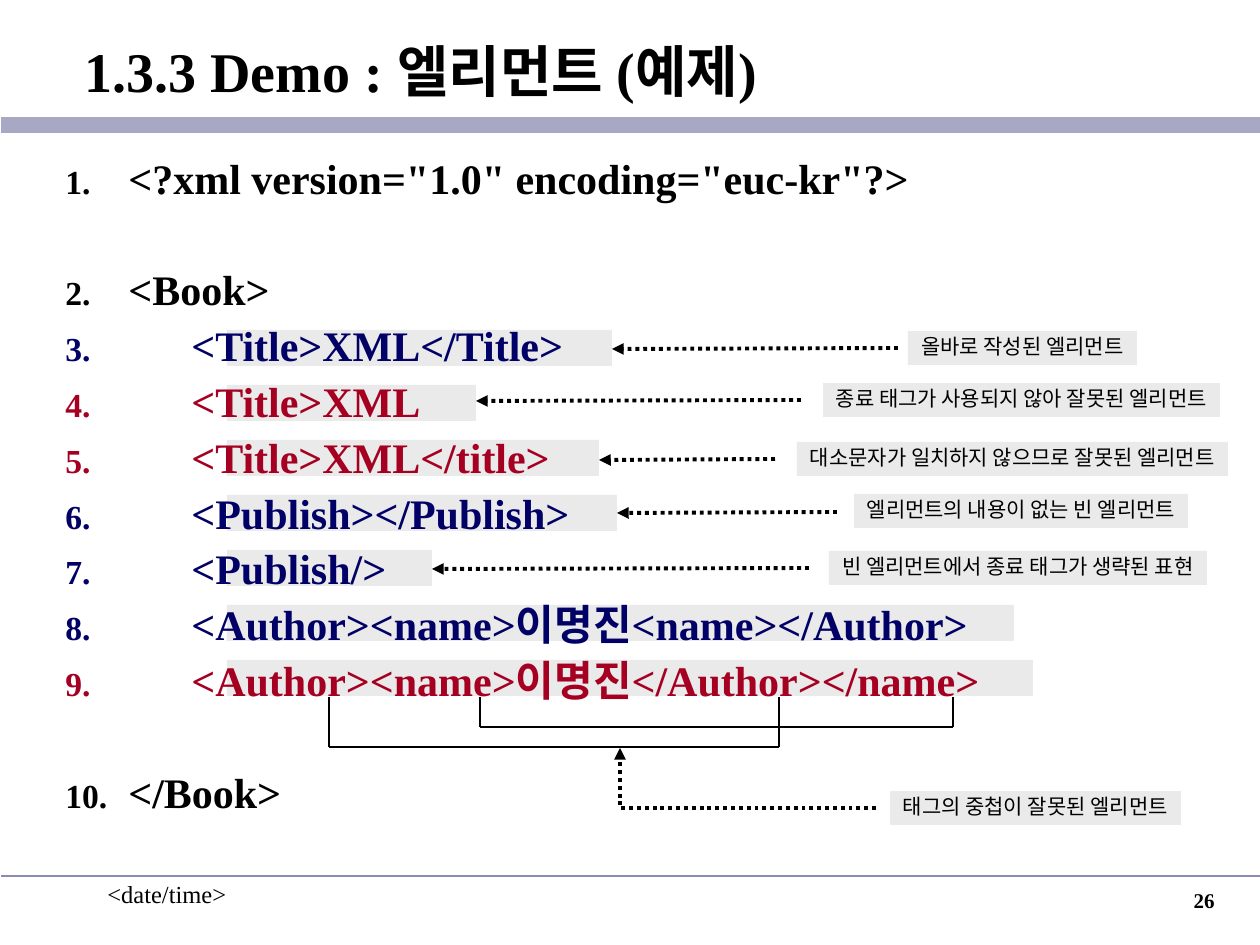
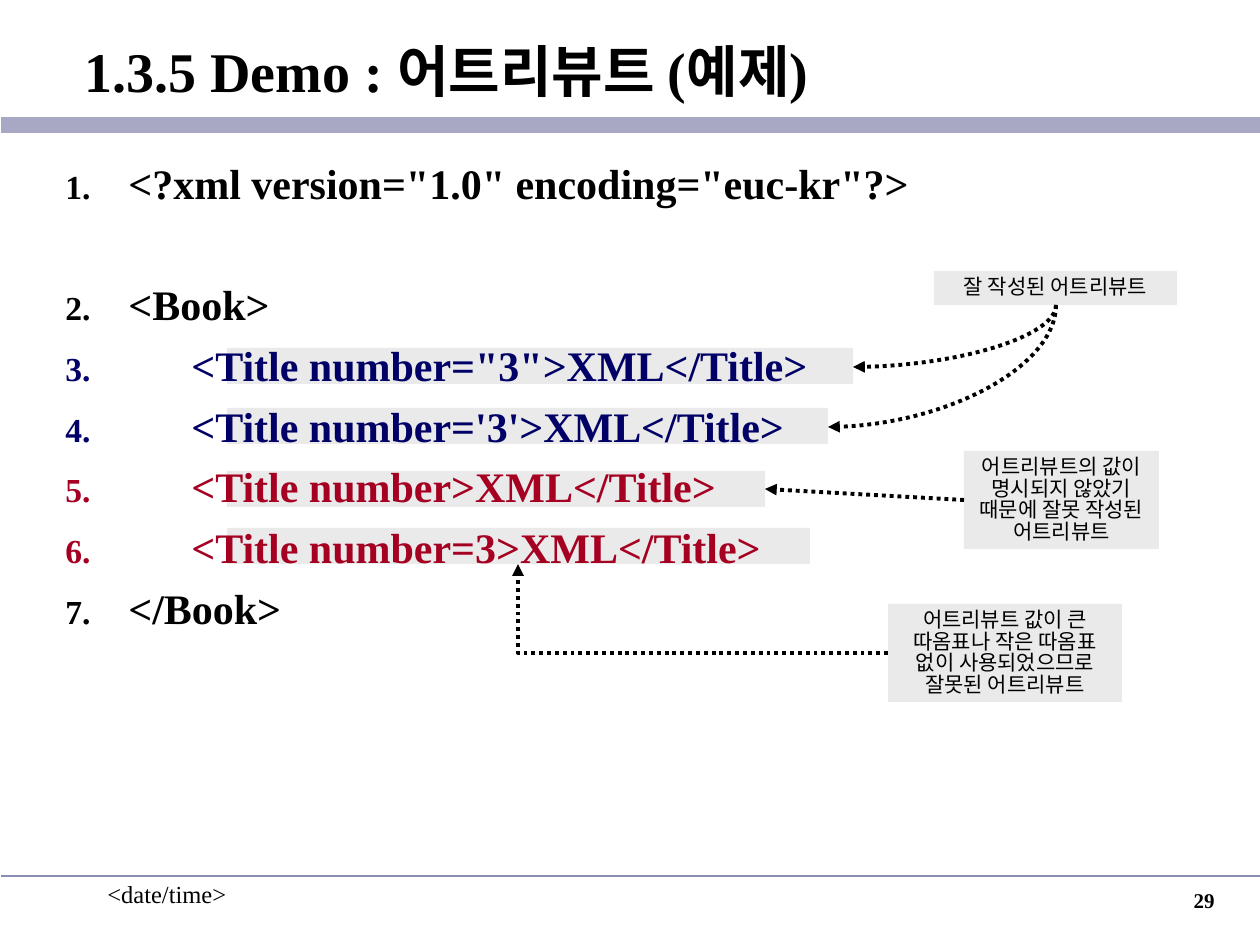
from lxml import etree
from pptx import Presentation
from pptx import util as u
from pptx.dml.color import RGBColor
from pptx.enum import dml, shapes, text
from pptx.oxml.ns import qn

PX = 914400 / 126
LATIN, KOREAN = "Times New Roman", "Noto Sans CJK KR"
BLACK, NAVY, RED = "000000", "000066", "A50021"
GREY, BAND, RULE = "EAEAEA", "A8A8C4", "8C8CB2"


def px(length):
    return u.Emu(round(length * PX))


def colour(hex_code):
    return RGBColor.from_string(hex_code)


def style(para, size, name=LATIN, ink=BLACK, bold=False):
    font = para.font
    font.size, font.name, font.bold = u.Pt(size), name, bold
    font.color.rgb = colour(ink)
    etree.SubElement(para._p.pPr.find(qn("a:defRPr")), qn("a:ea"), typeface=KOREAN)


def add_text(page, box, content, size, bold=False,
             align=text.PP_ALIGN.LEFT, anchor=text.MSO_ANCHOR.TOP):
    frame = page.shapes.add_textbox(*map(px, box)).text_frame
    frame.word_wrap, frame.vertical_anchor = True, anchor
    para = frame.paragraphs[0]
    para.text, para.alignment = content, align
    style(para, size, bold=bold)


def add_panel(page, box):
    panel = page.shapes.add_shape(shapes.MSO_SHAPE.RECTANGLE, *map(px, box))
    panel.shadow.inherit = False
    panel.fill.solid()
    panel.fill.fore_color.rgb = colour(GREY)
    panel.line.fill.background()
    return panel


def add_line(page, start, end, ink=BLACK, width=1.5, kind=shapes.MSO_CONNECTOR.STRAIGHT):
    line = page.shapes.add_connector(kind, *map(px, start + end))
    line.line.color.rgb = colour(ink)
    line.line.width = u.Pt(width)
    etree.SubElement(line._element.spPr, qn("a:effectLst"))
    return line


def add_arrow(page, start, end, kind=shapes.MSO_CONNECTOR.STRAIGHT):
    arrow = add_line(page, start, end, width=2.25, kind=kind)
    arrow.line.dash_style = dml.MSO_LINE.ROUND_DOT
    etree.SubElement(arrow.line._ln, qn("a:tailEnd"), type="triangle")
    return arrow


def turn(arrow, preset, degrees):
    arrow._element.spPr.find(qn("a:prstGeom")).set("prst", preset)
    arrow._element.spPr.find(qn("a:xfrm")).set("rot", str(degrees * 60000))


def add_corner_arrow(page, start, end):
    """Runs left from start, then up to end."""
    arrow = add_arrow(page, end, start, shapes.MSO_CONNECTOR.ELBOW)
    turn(arrow, "bentConnector2", 180)


def add_curved_arrow(page, start, end):
    """Runs down from start and bends left to end."""
    middle_x, middle_y = (start[0] + end[0]) / 2, (start[1] + end[1]) / 2
    half_w, half_h = (end[1] - start[1]) / 2, (start[0] - end[0]) / 2
    arrow = add_arrow(page, (middle_x - half_w, middle_y - half_h),
                      (middle_x + half_w, middle_y + half_h), shapes.MSO_CONNECTOR.CURVE)
    turn(arrow, "curvedConnector2", 90)


def add_callout(page, box, content, wrap=True):
    frame = add_panel(page, box).text_frame
    frame.word_wrap, frame.vertical_anchor = wrap, text.MSO_ANCHOR.TOP
    para = frame.paragraphs[0]
    para.text, para.alignment = content, text.PP_ALIGN.CENTER
    para.line_spacing = u.Pt(12.35)
    style(para, 12, KOREAN)


def number(para, ink):
    props = para._p.pPr
    props.set("marL", "457200")
    props.set("indent", "-457200")
    last = props.find(qn("a:defRPr"))
    bullet_colour = etree.Element(qn("a:buClr"))
    etree.SubElement(bullet_colour, qn("a:srgbClr"), val=ink)
    tabs = etree.Element(qn("a:tabLst"))
    etree.SubElement(tabs, qn("a:tab"), pos="914400", algn="l")
    for part in (bullet_colour,
                 etree.Element(qn("a:buSzPct"), val="80000"),
                 etree.Element(qn("a:buAutoNum"), type="arabicPeriod"),
                 tabs):
        last.addprevious(part)


def add_code(page, box, rows, line_height):
    """rows: (code, ink, gap above in lines)."""
    frame = page.shapes.add_textbox(*map(px, box)).text_frame
    frame.word_wrap = True
    for index, (code, ink, gap) in enumerate(rows):
        para = frame.paragraphs[0] if index == 0 else frame.add_paragraph()
        para.text = code if ink == BLACK else "\t" + code
        para.line_spacing = u.Pt(line_height)
        para.space_before = u.Pt(7 + gap * (line_height + 7) if index else 0)
        style(para, 24, ink=ink, bold=True)
        number(para, ink)


def add_page(deck, title, page_number, highlights, rows, line_height):
    page = deck.slides.add_slide(deck.slide_layouts[6])
    # Band and footer
    add_line(page, (1, 125), (1260, 125), BAND, 9.25)
    add_line(page, (1, 876), (1260, 876), RULE, 1)
    add_text(page, (95, 873, 262, 63), "<date/time>", 14)
    add_text(page, (965, 881, 262, 63), page_number, 12, True, text.PP_ALIGN.RIGHT)
    # Title
    add_text(page, (72, 14, 1188, 113), title, 32, True, anchor=text.MSO_ANCHOR.MIDDLE)
    # Code on its highlights
    for top, width in highlights:
        add_panel(page, (227, top, width, 36))
    add_code(page, (53, 153, 1154, 719), rows, line_height)
    return page


def add_nesting_bracket(page, left, right, bottom, top=697):
    add_line(page, (left, top), (left, bottom))
    add_line(page, (left, bottom), (right, bottom))
    add_line(page, (right, top), (right, bottom))


def element_page(deck):
    widths = (385, 249, 372, 390, 205, 787, 806)
    highlights = [(330 + 55 * row, width) for row, width in enumerate(widths)]
    rows = [
        ('<?xml version="1.0" encoding="euc-kr"?>', BLACK, 0),
        ("<Book>", BLACK, 1),
        ("<Title>XML</Title>", NAVY, 0),
        ("<Title>XML", RED, 0),
        ("<Title>XML</title>", RED, 0),
        ("<Publish></Publish>", NAVY, 0),
        ("<Publish/>", NAVY, 0),
        ("<Author><name>이명진<name></Author>", NAVY, 0),
        ("<Author><name>이명진</Author></name>", RED, 0),
        ("</Book>", BLACK, 1),
    ]
    page = add_page(deck, "1.3.3 Demo : 엘리먼트 (예제)", "26", highlights, rows, 24.9)

    # Callouts, each with an arrow to its row
    callouts = [
        ((908, 331, 229), "올바로 작성된 엘리먼트", 898, 348),
        ((823, 383, 397), "종료 태그가 사용되지 않아 잘못된 엘리먼트", 801, 400),
        ((797, 442, 431), "대소문자가 일치하지 않으므로 잘못된 엘리먼트", 775, 459),
        ((854, 494, 334), "엘리먼트의 내용이 없는 빈 엘리먼트", 837, 512),
        ((829, 551, 378), "빈 엘리먼트에서 종료 태그가 생략된 표현", 809, 568),
    ]
    for (box, note, start, level), width in zip(callouts, widths):
        add_callout(page, box + (34,), note, wrap=False)
        add_arrow(page, (start, level), (227 + width, level + 1))

    # Crossed tags
    add_nesting_bracket(page, 480, 953, 727)
    add_nesting_bracket(page, 329, 779, 747)
    add_callout(page, (890, 791, 291, 34), "태그의 중첩이 잘못된 엘리먼트", wrap=False)
    add_corner_arrow(page, (876, 808), (620, 748))


def attribute_page(deck):
    highlights = [(348, 626), (408, 601), (471, 538), (528, 583)]
    rows = [
        ('<?xml version="1.0" encoding="euc-kr"?>', BLACK, 0),
        ("<Book>", BLACK, 1),
        ('<Title number="3">XML</Title>', NAVY, 0),
        ("<Title number='3'>XML</Title>", NAVY, 0),
        ("<Title number>XML</Title>", RED, 0),
        ("<Title number=3>XML</Title>", RED, 0),
        ("</Book>", BLACK, 0),
    ]
    page = add_page(deck, "1.3.5 Demo : 어트리뷰트 (예제)", "29", highlights, rows, 27.7)

    # Well-formed attributes
    add_callout(page, (934, 271, 243, 34), "잘 작성된 어트리뷰트")
    for end in ((853, 367), (828, 427)):
        add_curved_arrow(page, (1056, 305), end)
    # Missing value
    add_callout(page, (964, 451, 195, 98),
                "어트리뷰트의 값이 명시되지 않았기 때문에 잘못 작성된 어트리뷰트")
    add_arrow(page, (964, 500), (765, 489))
    # Missing quotes
    add_callout(page, (888, 604, 234, 98),
                "어트리뷰트 값이 큰 따옴표나 작은 따옴표 없이 사용되었으므로 잘못된 어트리뷰트")
    add_corner_arrow(page, (888, 653), (518, 564))


def main():
    deck = Presentation()
    deck.slide_width, deck.slide_height = px(1260), px(945)
    element_page(deck)
    attribute_page(deck)
    deck.save("out.pptx")


if __name__ == "__main__":
    main()
